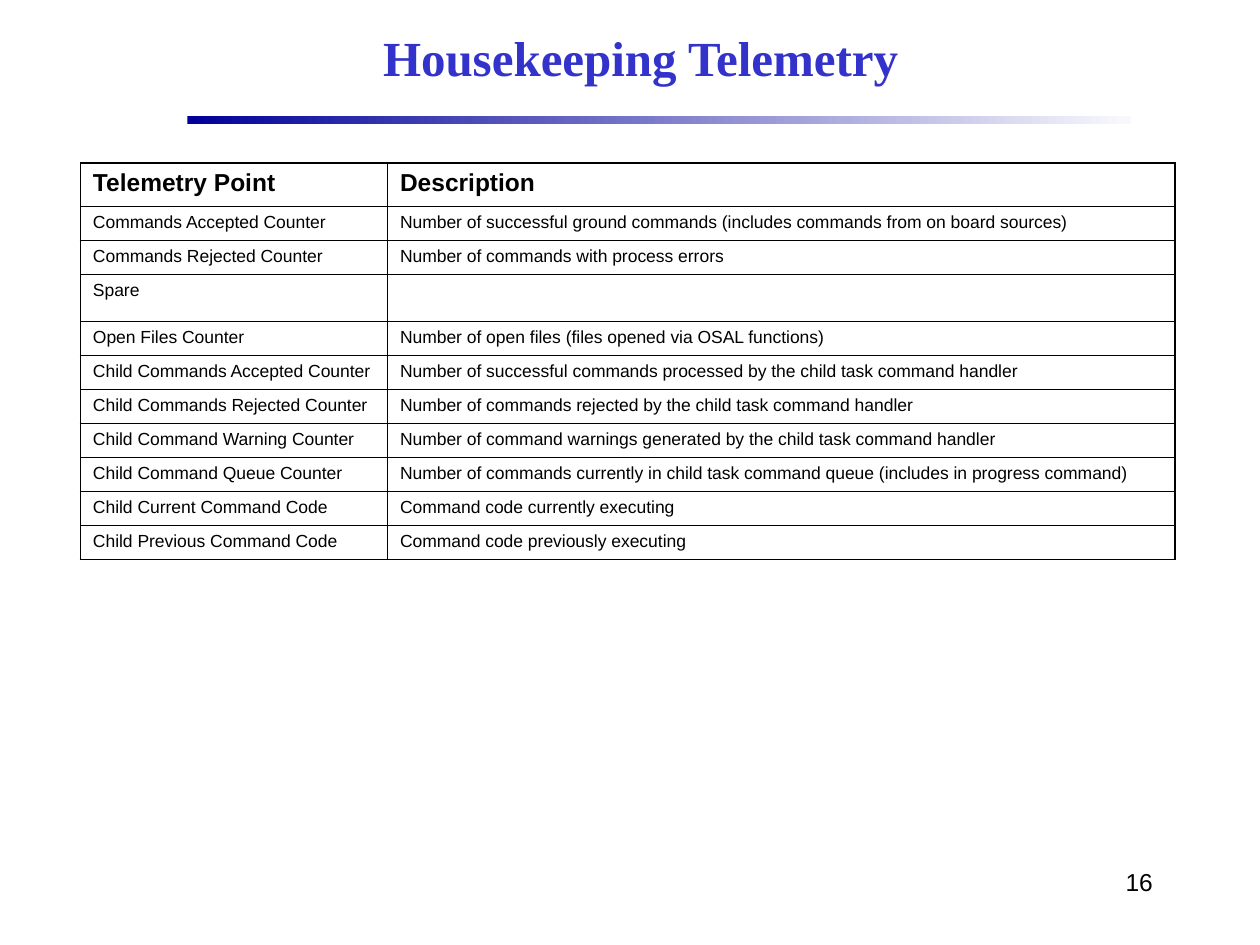
from dataclasses import dataclass

from lxml.etree import SubElement
from pptx import Presentation
from pptx.dml.color import RGBColor
from pptx.enum.shapes import MSO_SHAPE
from pptx.enum.text import MSO_ANCHOR, PP_ALIGN
from pptx.oxml.ns import qn
from pptx.slide import Slide
from pptx.util import Cm, Pt

COLORS = {
    "text": "000000",
    "title": "3333CC",
    "rule_start": "000099",
    "rule_end": "F9F9FD",
}

HEADINGS = ("Telemetry Point", "Description")
TELEMETRY = [
    ("Commands Accepted Counter",
     "Number of successful ground commands (includes commands from on board sources)"),
    ("Commands Rejected Counter", "Number of commands with process errors"),
    ("Spare", ""),
    ("Open Files Counter", "Number of open files (files opened via OSAL functions)"),
    ("Child Commands Accepted Counter",
     "Number of successful commands processed by the child task command handler"),
    ("Child Commands Rejected Counter",
     "Number of commands rejected by the child task command handler"),
    ("Child Command Warning Counter",
     "Number of command warnings generated by the child task command handler"),
    ("Child Command Queue Counter",
     "Number of commands currently in child task command queue (includes in progress command)"),
    ("Child Current Command Code", "Command code currently executing"),
    ("Child Previous Command Code", "Command code previously executing"),
]

# Row heights in cm: the spare row is taller, the others share the rest
HEADER_HEIGHT = 0.87
BODY_HEIGHT = 7.12
SPARE_HEIGHT = 0.95
POINT_HEIGHT = (BODY_HEIGHT - SPARE_HEIGHT) / (len(TELEMETRY) - 1)


@dataclass
class SlideBuilder:
    slide: Slide
    body_font: str = "Arial"
    title_font: str = "Times New Roman"
    outer_line: float = 1.08
    inner_line: float = 0.45

    def style(self, paragraph, size, font=None, color="text", bold=False):
        paragraph.font.name = font or self.body_font
        paragraph.font.size = Pt(size)
        paragraph.font.bold = bold
        paragraph.font.color.rgb = RGBColor.from_string(COLORS[color])

    def text(self, words, box, align, anchor=MSO_ANCHOR.TOP, **style):
        frame = self.slide.shapes.add_textbox(*map(Cm, box)).text_frame
        frame.word_wrap = True
        frame.vertical_anchor = anchor
        frame.text = words
        frame.paragraphs[0].alignment = align
        self.style(frame.paragraphs[0], **style)

    def gradient_bar(self, box, *colors):
        bar = self.slide.shapes.add_shape(MSO_SHAPE.RECTANGLE, *map(Cm, box))
        bar.shadow.inherit = False
        bar.line.fill.background()
        bar.fill.gradient()
        bar.fill.gradient_angle = 0
        for position, (stop, color) in enumerate(zip(bar.fill.gradient_stops, colors)):
            stop.position = position
            stop.color.rgb = RGBColor.from_string(COLORS[color])

    def border(self, cell, side, width):
        line = SubElement(cell._tc.get_or_add_tcPr(), qn(f"a:{side}"), w=str(Pt(width)))
        fill = SubElement(line, qn("a:solidFill"))
        SubElement(fill, qn("a:srgbClr"), val=COLORS["text"])

    def table(self, rows, left, top, widths, heights):
        table = self.slide.shapes.add_table(
            len(rows), len(widths), Cm(left), Cm(top), Cm(sum(widths)), Cm(sum(heights))
        ).table
        table.first_row = table.horz_banding = False
        for column, width in zip(table.columns, widths):
            column.width = Cm(width)
        for r, (words, height) in enumerate(zip(rows, heights)):
            table.rows[r].height = Cm(height)
            for c, word in enumerate(words):
                cell = table.cell(r, c)
                cell.text = word
                self.style(cell.text_frame.paragraphs[0],
                           size=14 if r == 0 else 10, bold=r == 0)
                outer_sides = {"lnL": c == 0, "lnR": c == len(widths) - 1,
                               "lnT": r == 0, "lnB": False}
                for side, outer in outer_sides.items():
                    self.border(cell, side, self.outer_line if outer else self.inner_line)
                cell.fill.background()


def main():
    deck = Presentation()
    deck.slide_width, deck.slide_height = Cm(25.4), Cm(19.05)
    page = SlideBuilder(deck.slides.add_slide(deck.slide_layouts[6]))

    # Rule under the title
    page.gradient_bar((3.78, 2.33, 19.02, 0.18), "rule_start", "rule_end")

    # Slide number
    page.text("16", (18.21, 17.35, 5.28, 1.27), PP_ALIGN.RIGHT, size=14)

    # Title
    page.text("Housekeeping Telemetry", (3.81, 0.2, 18.21, 1.9), PP_ALIGN.CENTER,
              MSO_ANCHOR.MIDDLE, size=28, font=page.title_font, color="title", bold=True)

    # Telemetry table
    heights = [HEADER_HEIGHT] + [
        POINT_HEIGHT if description else SPARE_HEIGHT for _, description in TELEMETRY
    ]
    page.table([HEADINGS, *TELEMETRY], 1.62, 3.29, (6.19, 15.88), heights)

    deck.save("out.pptx")


if __name__ == "__main__":
    main()
